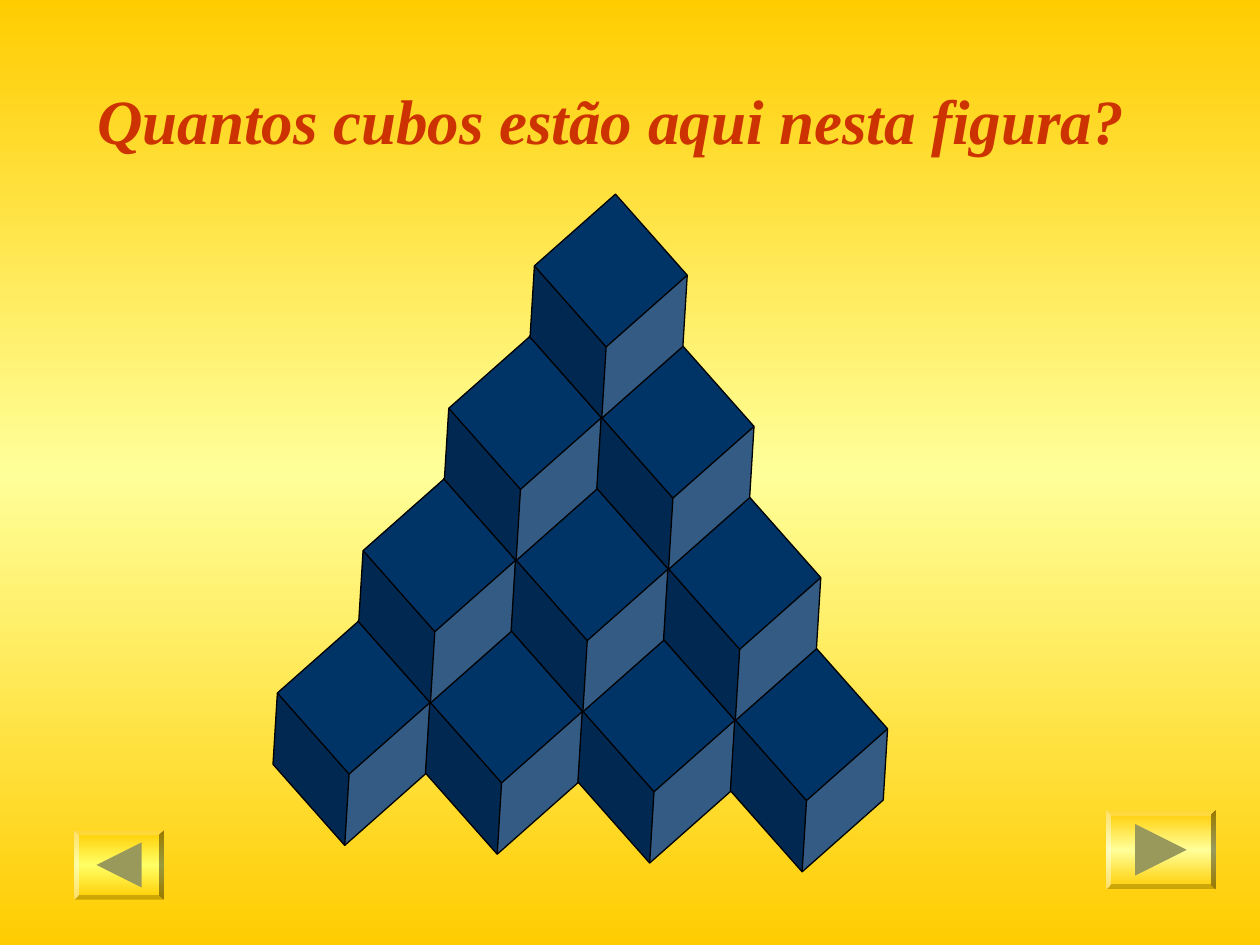
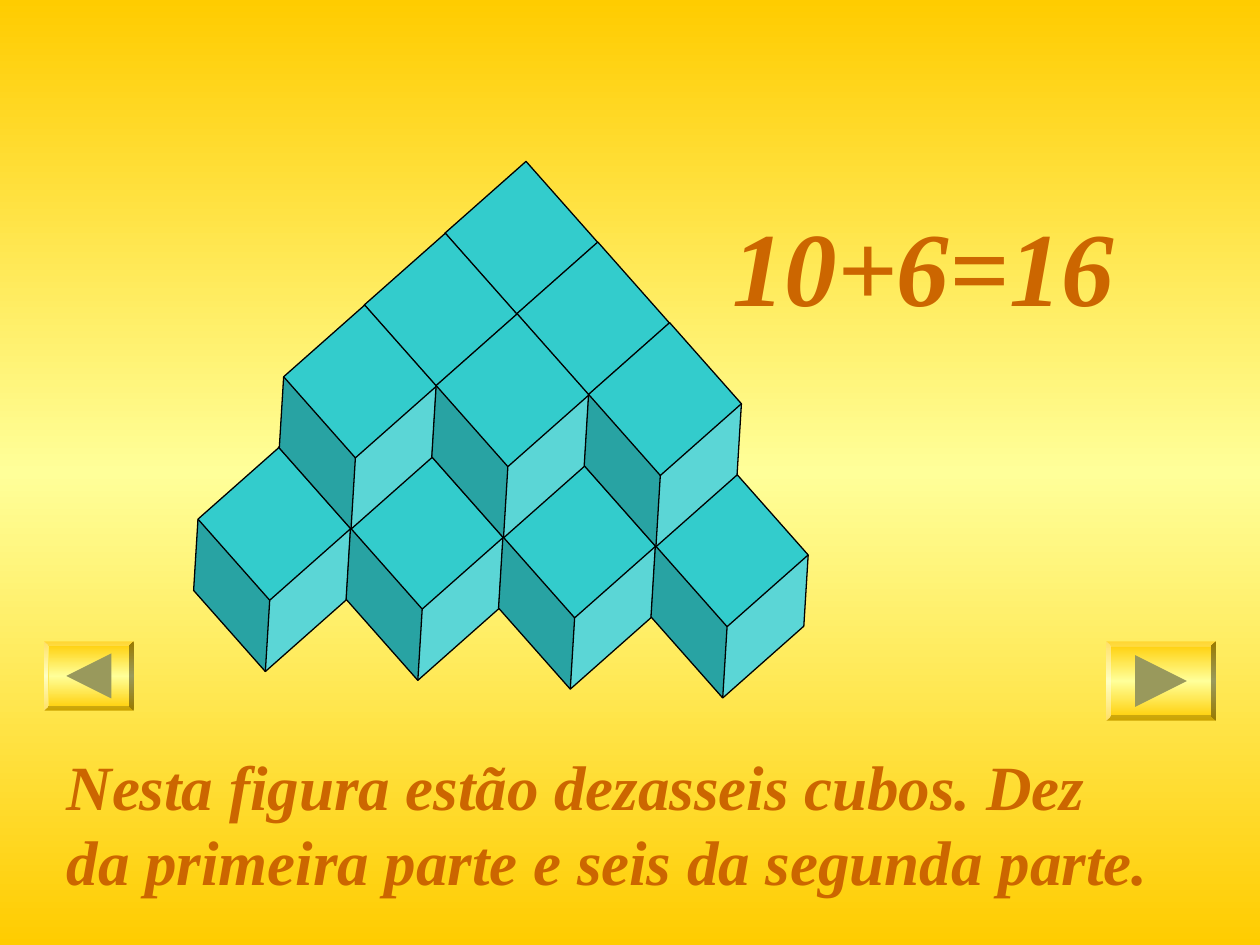
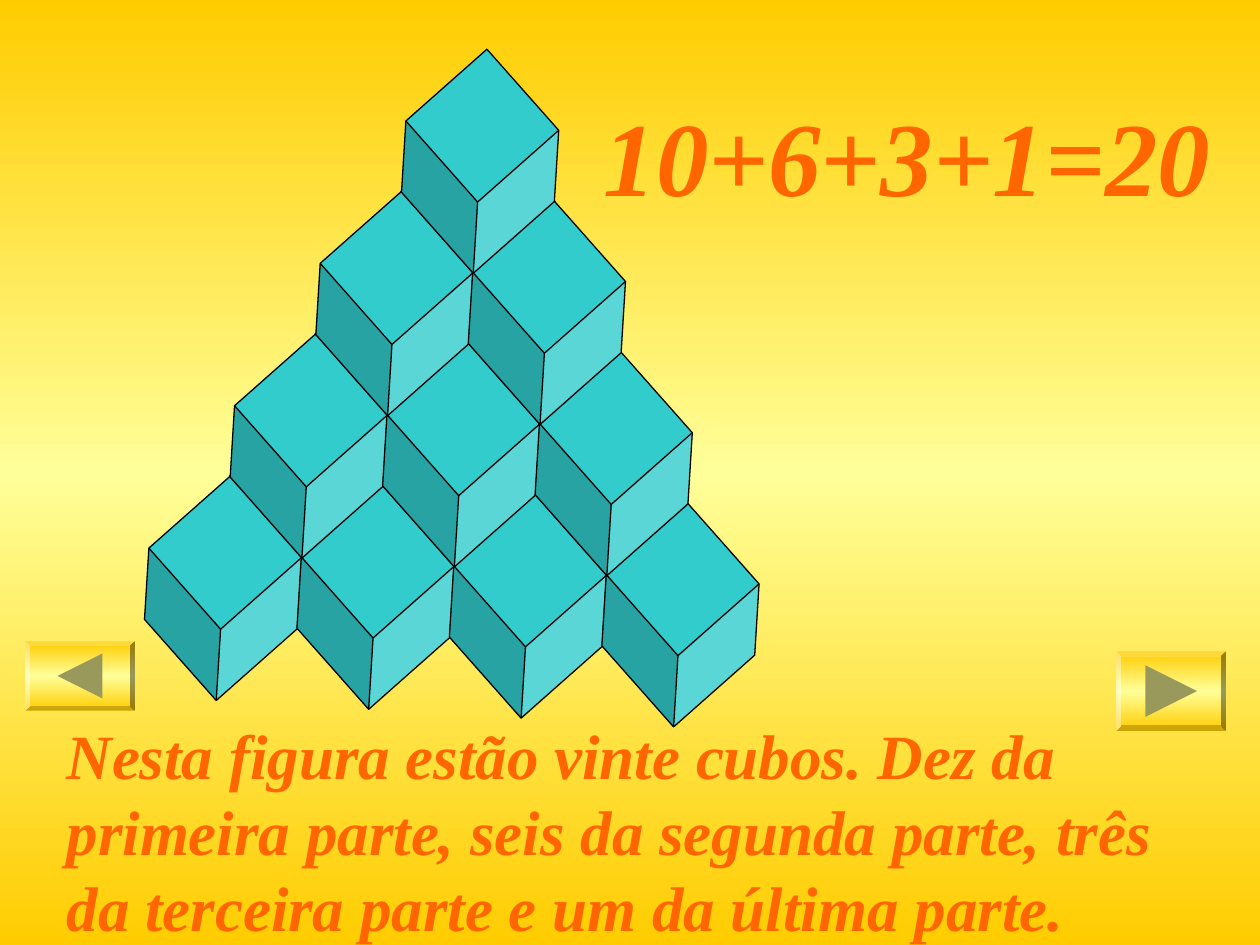
"""Build three slides that count the cubes stacked in a corner pyramid."""
from dataclasses import dataclass
from typing import Optional

from lxml import etree
from pptx import Presentation
from pptx.dml.color import RGBColor
from pptx.enum.shapes import MSO_SHAPE as Preset
from pptx.enum.text import MSO_ANCHOR as Anchor, MSO_AUTO_SIZE as AutoSize, PP_ALIGN as Align
from pptx.oxml.ns import qn
from pptx.util import Inches, Pt


@dataclass(frozen=True)
class Theme:
    """Colours and type sizes shared by the slides."""
    font: str = "Times New Roman"
    sentence_size: int = 36
    sum_size: int = 60
    gold: str = "FFCC00"
    pale: str = "FFFF99"
    lemon: str = "FFFF66"
    arrow: str = "99995C"
    outline: str = "000000"
    navy: str = "003366"
    turquoise: str = "33CCCC"
    red: str = "CC3300"
    brown: str = "CC6600"
    orange: str = "FF6600"


THEME = Theme()
CUBE_SIDE = 1.26
CUBE_TURN = 138.5
CUBE_DEPTH = 0.318
LEFT_STEP = (-0.64, 0.57)
RIGHT_STEP = (0.57, 0.64)
LIFT_STEP = (0.04, -0.56)
BASE_ROWS = 4
BEVEL = 0.065
ARROW_SHARE = 0.65


@dataclass(frozen=True)
class Caption:
    """A line of writing and its box in inches."""
    text: str
    left: float
    top: float
    width: float
    height: float
    size: int


@dataclass(frozen=True)
class Pyramid:
    """A stack of cubes, placed by the rear cube of its lowest layer."""
    left: float
    top: float
    layers: int
    color: str


@dataclass(frozen=True)
class NavButton:
    """A bevelled button with an arrow; direction is 1 for next, -1 for back."""
    left: float
    top: float
    width: float
    height: float
    direction: int
    glow: str = THEME.pale


@dataclass(frozen=True)
class Page:
    """Everything that one slide shows."""
    color: str
    title: Caption
    pyramid: Pyramid
    buttons: tuple[NavButton, ...]
    answer: Optional[Caption] = None


PAGES = (
    Page(
        THEME.red,
        Caption("Quantos cubos estão aqui nesta figura?",
                0.67, 0.6, 8.74, 0.7, THEME.sentence_size),
        Pyramid(4.08, 3.48, 4, THEME.navy),
        (NavButton(8.78, 6.43, 0.87, 0.63, 1),
         NavButton(0.59, 6.59, 0.71, 0.55, -1, THEME.lemon)),
    ),
    Page(
        THEME.brown,
        Caption("10+6=16", 5.71, 1.55, 3.86, 1.1, THEME.sum_size),
        Pyramid(3.45, 2.1, 2, THEME.turquoise),
        (NavButton(8.78, 5.09, 0.87, 0.63, 1),
         NavButton(0.35, 5.09, 0.71, 0.55, -1)),
        Caption("Nesta figura estão dezasseis cubos. Dez da primeira parte "
                "e seis da segunda parte.",
                0.43, 5.88, 8.9, 1.3, THEME.sentence_size),
    ),
    Page(
        THEME.orange,
        Caption("10+6+3+1=20", 4.69, 0.68, 5.08, 1.1, THEME.sum_size),
        Pyramid(3.06, 2.33, 4, THEME.turquoise),
        (NavButton(8.86, 5.17, 0.87, 0.63, 1),
         NavButton(0.2, 5.09, 0.87, 0.55, -1)),
        Caption("Nesta figura estão vinte cubos. Dez da primeira parte, seis da "
                "segunda parte, três da terceira parte e um da última parte.",
                0.43, 5.64, 9.29, 1.9, THEME.sentence_size),
    ),
)


def fill_glow(owner, fill, glow: str) -> None:
    """Fill with a vertical gradient from gold to the glow and back."""
    fill.gradient()
    fill.gradient_angle = 90
    stops = owner.element.find(f".//{qn('a:gsLst')}")
    for stop in list(stops):
        stops.remove(stop)
    for percent, color in ((0, THEME.gold), (50, glow), (100, THEME.gold)):
        stop = etree.SubElement(stops, qn("a:gs"), pos=str(percent * 1000))
        etree.SubElement(stop, qn("a:srgbClr"), val=color)


def fill_solid(shape, color: str) -> None:
    """Give a shape a plain fill and no shadow."""
    shape.shadow.inherit = False
    shape.fill.solid()
    shape.fill.fore_color.rgb = RGBColor.from_string(color)


def write_caption(box, caption: Caption, color: str) -> None:
    """Place a box and write its caption in bold italics."""
    box.left, box.top = Inches(caption.left), Inches(caption.top)
    box.width, box.height = Inches(caption.width), Inches(caption.height)
    frame = box.text_frame
    frame.word_wrap = True
    frame.auto_size = AutoSize.SHAPE_TO_FIT_TEXT
    frame.vertical_anchor = Anchor.TOP
    frame.text = caption.text
    paragraph = frame.paragraphs[0]
    paragraph.alignment = Align.LEFT
    paragraph.space_before = Pt(0)
    font = paragraph.font
    font.name, font.size = THEME.font, Pt(caption.size)
    font.bold = font.italic = True
    font.color.rgb = RGBColor.from_string(color)


def draw_cube(group, left: float, top: float, color: str) -> None:
    """Draw one cube standing on its corner."""
    cube = group.shapes.add_shape(
        Preset.CUBE, Inches(left), Inches(top), Inches(CUBE_SIDE), Inches(CUBE_SIDE))
    cube.adjustments[0] = CUBE_DEPTH
    cube.rotation = CUBE_TURN
    fill_solid(cube, color)
    cube.line.color.rgb = RGBColor.from_string(THEME.outline)
    cube.line.width = Pt(0.75)


def draw_pyramid(slide, pyramid: Pyramid) -> None:
    """Stack triangular layers, each one row shorter than the layer below."""
    group = slide.shapes.add_group_shape()
    for layer in range(pyramid.layers):
        for row in range(BASE_ROWS - layer):
            for rights in range(row + 1):
                x, y = (
                    (row - rights) * left_step + rights * right_step + layer * lift
                    for left_step, right_step, lift in zip(LEFT_STEP, RIGHT_STEP, LIFT_STEP))
                draw_cube(group, pyramid.left + x, pyramid.top + y, pyramid.color)


def draw_button(slide, button: NavButton) -> None:
    """Draw a bevelled button with a centred arrow."""
    plate = slide.shapes.add_shape(
        Preset.BEVEL, Inches(button.left), Inches(button.top),
        Inches(button.width), Inches(button.height))
    plate.adjustments[0] = BEVEL
    plate.shadow.inherit = False
    fill_glow(plate, plate.fill, button.glow)
    plate.line.fill.background()

    reach = ARROW_SHARE * button.height / 2
    center_x = button.left + button.width / 2
    center_y = button.top + button.height / 2
    tail_x = Inches(center_x - button.direction * reach)
    outline = slide.shapes.build_freeform(tail_x, Inches(center_y - reach))
    outline.add_line_segments((
        (Inches(center_x + button.direction * reach), Inches(center_y)),
        (tail_x, Inches(center_y + reach))), close=True)
    arrow = outline.convert_to_shape()
    fill_solid(arrow, THEME.arrow)
    arrow.line.fill.background()


def build_page(deck, page: Page) -> None:
    """Add one slide to the deck."""
    slide = deck.slides.add_slide(deck.slide_layouts.get_by_name("Title Only"))
    draw_pyramid(slide, page.pyramid)
    write_caption(slide.shapes.title, page.title, page.color)
    if page.answer:
        answer_box = slide.shapes.add_textbox(0, 0, 0, 0)
        write_caption(answer_box, page.answer, page.color)
    for button in page.buttons:
        draw_button(slide, button)


def main() -> None:
    """Build and save the deck."""
    deck = Presentation()
    deck.slide_width, deck.slide_height = Inches(10), Inches(7.5)
    master = deck.slide_master
    fill_glow(master, master.background.fill, THEME.pale)
    for page in PAGES:
        build_page(deck, page)
    deck.save("out.pptx")


if __name__ == "__main__":
    main()
